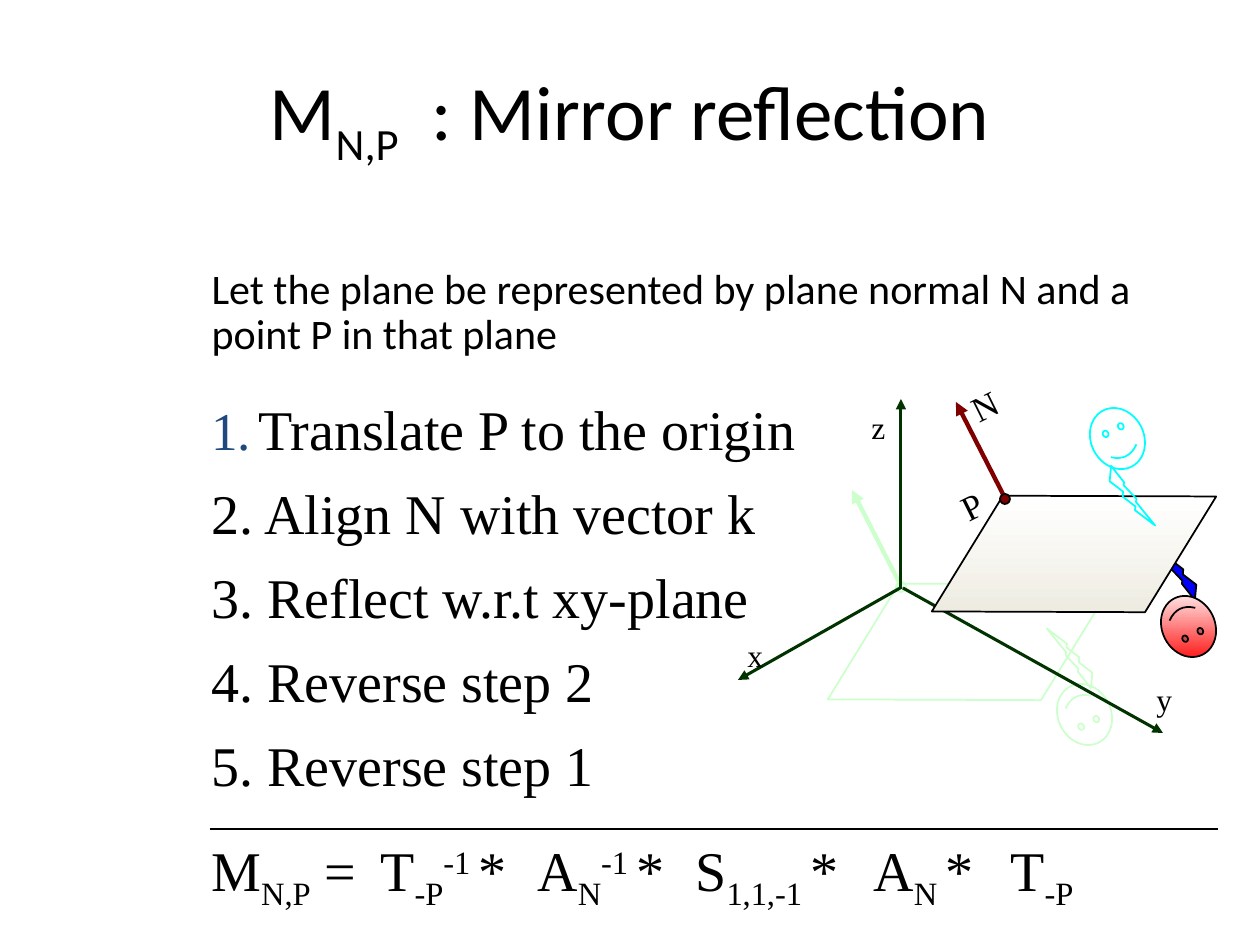
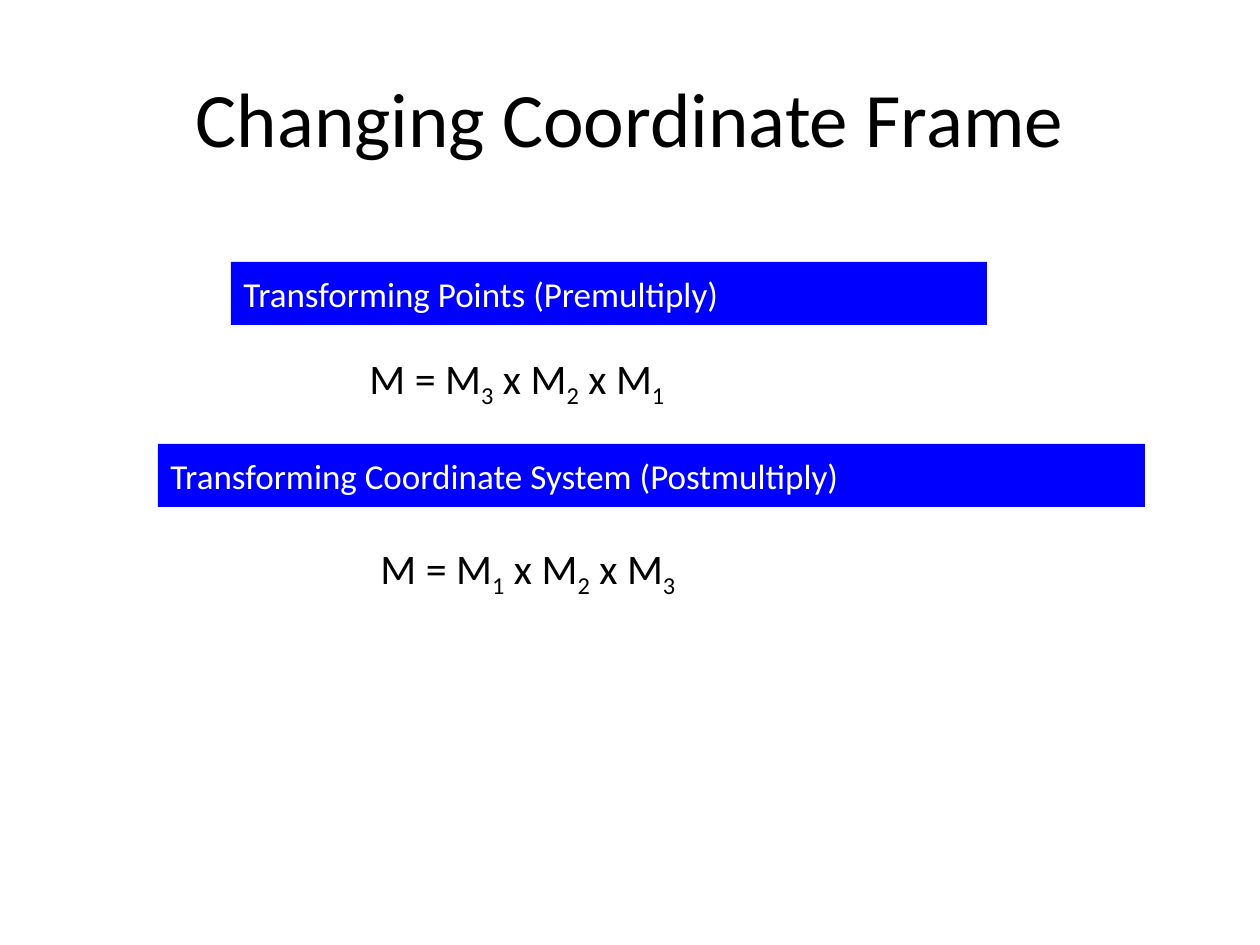
from lxml import etree
from pptx import Presentation
from pptx.dml.color import RGBColor
from pptx.enum.shapes import MSO_CONNECTOR, MSO_SHAPE
from pptx.enum.text import MSO_ANCHOR, PP_ALIGN
from pptx.oxml.ns import qn
from pptx.util import Pt

PX = 914400 // 126  # EMU in one pixel
STRAIGHT = MSO_CONNECTOR.STRAIGHT
BOLT, SMILEY = MSO_SHAPE.LIGHTNING_BOLT, MSO_SHAPE.SMILEY_FACE
PLANE, DOT, RECT = MSO_SHAPE.PARALLELOGRAM, MSO_SHAPE.OVAL, MSO_SHAPE.RECTANGLE
MIDDLE, LEFT, CENTER = MSO_ANCHOR.MIDDLE, PP_ALIGN.LEFT, PP_ALIGN.CENTER
ARROW, RULE = "arrow", "rule"

BLACK = RGBColor(0, 0, 0)
WHITE = RGBColor(255, 255, 255)
BLUE = RGBColor(0, 0, 255)
RED = RGBColor(255, 0, 0)
CREAM = RGBColor(0xEE, 0xEC, 0xE1)
MAROON = RGBColor(0x80, 0, 0)
DARK_GREEN = RGBColor(0, 0x33, 0)
PALE_GREEN = RGBColor(0xCC, 0xFF, 0xCC)
CYAN = RGBColor(0, 255, 255)
NUMBER_COLOR = "1F497D"

SANS, SERIF = "Calibri", "Times New Roman"
SUB, SUPER = -25000, 30000
TITLE_BOX = (63, 38, 1134, 157)
TILT = 333.5
FLIPPED = 153.5


def px(box):
    """Turn pixel lengths into EMU."""
    return [round(length * PX) for length in box]


def write(shape, pieces, size=24, font=SANS, color=BLACK, align=LEFT,
          wrap=True, anchor=None, hang=0, before=None, spacing=None):
    """Fill a shape with one paragraph; pieces are strings or (string, baseline)."""
    frame = shape.text_frame
    frame.word_wrap = wrap
    if anchor is not None:
        frame.vertical_anchor = anchor
    paragraph = frame.paragraphs[0]
    paragraph.alignment = align
    paragraph.line_spacing = spacing
    if before is not None:
        paragraph.space_before = Pt(before)
    properties = paragraph._p.get_or_add_pPr()
    properties.set("marL", str(hang * PX))
    properties.set("indent", str(-hang * PX))
    etree.SubElement(properties, qn("a:buNone"))
    for piece in pieces:
        text, baseline = (piece, 0) if isinstance(piece, str) else piece
        run = paragraph.add_run()
        run.text = text
        run.font.size = Pt(size)
        run.font.name = font
        run.font.color.rgb = color
        if baseline:
            run._r.get_or_add_rPr().set("baseline", str(baseline))
    return paragraph


presentation = Presentation()
presentation.slide_width, presentation.slide_height = px((1260, 945))
title_and_body, title_only = presentation.slide_layouts[1], presentation.slide_layouts[5]

# Slide 1: mirror reflection
mirror = presentation.slides.add_slide(title_and_body)
title, intro = mirror.shapes.title, mirror.placeholders[1]
title.left, title.top, title.width, title.height = px(TITLE_BOX)
heading = write(title, ["M", ("N,P", SUB), (" ", SUB), ": Mirror reflection"],
                size=44, align=CENTER, anchor=MIDDLE)
heading.runs[2]._r.get_or_add_rPr().set("spc", "1300")
intro.left, intro.top, intro.width, intro.height = px((199, 262, 1029, 116))
write(intro, ["Let the plane be represented by plane normal N and a point P in that plane"],
      spacing=0.9)

steps = ["Translate P to the origin", "2. Align N with vector k",
         "3. Reflect w.r.t xy-plane", "4. Reverse step 2", "5. Reverse step 1"]
for row, step in enumerate(steps):
    box = mirror.shapes.add_textbox(*px((199, 388 + 84 * row, 658, 63)))
    paragraph = write(box, [step], size=32, font=SERIF, hang=47, before=3.6)
    if row == 0:
        properties = paragraph._p.pPr
        properties.remove(properties.find(qn("a:buNone")))
        bullet_color = etree.SubElement(properties, qn("a:buClr"))
        etree.SubElement(bullet_color, qn("a:srgbClr"), val=NUMBER_COLOR)
        etree.SubElement(properties, qn("a:buSzPct"), val="95000")
        etree.SubElement(properties, qn("a:buFont"), typeface=SERIF)
        etree.SubElement(properties, qn("a:buAutoNum"), type="arabicPeriod")

factors = [
    (199, 189, ["M", ("N,P", SUB), " = "]),
    (368, 168, ["T", ("-P", SUB), ("-1 ", SUPER), "*"]),
    (525, 168, ["A", ("N", SUB), ("-1 ", SUPER), "*"]),
    (683, 210, ["S", ("1,1,-1 ", SUB), "*"]),
    (861, 147, ["A", ("N ", SUB), "*"]),
    (998, 105, ["T", ("-P", SUB)]),
]
for left, width, pieces in factors:
    box = mirror.shapes.add_textbox(*px((left, 829, width, 63)))
    write(box, pieces, size=32, font=SERIF, hang=47, before=3.6)

# Parts: kind, (left, top, width, height), rotation, fill, line colour, line width.
# A pair of fill colours is a gradient; a line runs from (left, top) by its extent.
placed = [
    (BOLT, (1166, 532, 21, 73), FLIPPED, BLUE, BLACK, 1),
    (SMILEY, (1162, 595, 53, 63), FLIPPED, (WHITE, RED), BLACK, 1),
    (PLANE, (932, 496, 284, 116), 0.2, (WHITE, CREAM), BLACK, 1),
    (ARROW, (1004, 496, -48, -94), 0, None, MAROON, 2.5),
    (DOT, (1000, 494, 10, 10), TILT, MAROON, BLACK, 1),
]
at_origin = [(kind, (x - 104, y + 88, w, h), turn, None, PALE_GREEN, weight)
             for kind, (x, y, w, h), turn, _, _, weight in placed]
axes = [(ARROW, extent, 0, None, DARK_GREEN, 1.75) for extent in
        ((901, 588, 0, -189), (902, 587, -164, 93), (903, 588, 260, 145))]
reflected = [(SMILEY, (1091, 407, 53, 63), TILT, None, CYAN, 1),
             (BOLT, (1119, 461, 21, 73), TILT, None, CYAN, 1)]
divider = [(RULE, (210, 829, 1008, 0), 0, None, BLACK, 1)]

for kind, (x, y, w, h), turn, fill, color, weight in (
        divider + at_origin + axes + placed + reflected):
    if kind in (ARROW, RULE):
        part = mirror.shapes.add_connector(STRAIGHT, *px((x, y, x + w, y + h)))
    else:
        part = mirror.shapes.add_shape(kind, *px((x, y, w, h)))
        part.rotation = turn
        part.shadow.inherit = False
        if kind == PLANE:
            part.adjustments[0] = 0.61
        if fill is None:
            part.fill.background()
        elif isinstance(fill, RGBColor):
            part.fill.solid()
            part.fill.fore_color.rgb = fill
        else:
            part.fill.gradient()
            part.fill.gradient_angle = 270
            for stop, position, shade in zip(part.fill.gradient_stops, (0, 1), fill):
                stop.position = position
                stop.color.rgb = shade
            part._element.spPr.find(qn("a:gradFill")).set("rotWithShape", "0")
    part.line.color.rgb = color
    part.line.width = Pt(weight)
    if kind == ARROW:
        etree.SubElement(part.line._get_or_add_ln(), qn("a:tailEnd"), type="triangle")
    if kind in (ARROW, RULE):
        etree.SubElement(part._element.spPr, qn("a:effectLst"))

labels = [("x", (735, 630, 42, 50), 0, 18), ("y", (1144, 674, 42, 50), 0, 18),
          ("z", (859, 402, 39, 50), 0, 18),
          ("N", (959, 378, 50, 54), TILT, 20), ("P", (949, 478, 45, 54), TILT, 20)]
for letter, place, turn, size in labels:
    box = mirror.shapes.add_textbox(*px(place))
    box.rotation = turn
    write(box, [letter], size=size, font=SERIF, wrap=False)

# Slide 2: order of multiplication
frames = presentation.slides.add_slide(title_only)
title = frames.shapes.title
title.left, title.top, title.width, title.height = px(TITLE_BOX)
write(title, ["Changing Coordinate Frame"], size=44, align=CENTER, anchor=MIDDLE)

orders = [
    ("Transforming Points (Premultiply)", (231, 262, 756, 63), "321", (357, 346, 462, 63)),
    ("Transforming Coordinate System (Postmultiply)", (158, 444, 987, 63),
     "123", (368, 536, 462, 63)),
]
for caption, band_box, (first, second, third), formula_box in orders:
    band = frames.shapes.add_shape(RECT, *px(band_box))
    band.shadow.inherit = False
    band.fill.solid()
    band.fill.fore_color.rgb = BLUE
    band.line.fill.background()
    write(band, [caption], size=20, color=WHITE, anchor=MIDDLE)
    formula = frames.shapes.add_textbox(*px(formula_box))
    write(formula, ["M = M", (first, SUB), " x M", (second, SUB), " x M", (third, SUB)])

presentation.save("out.pptx")
